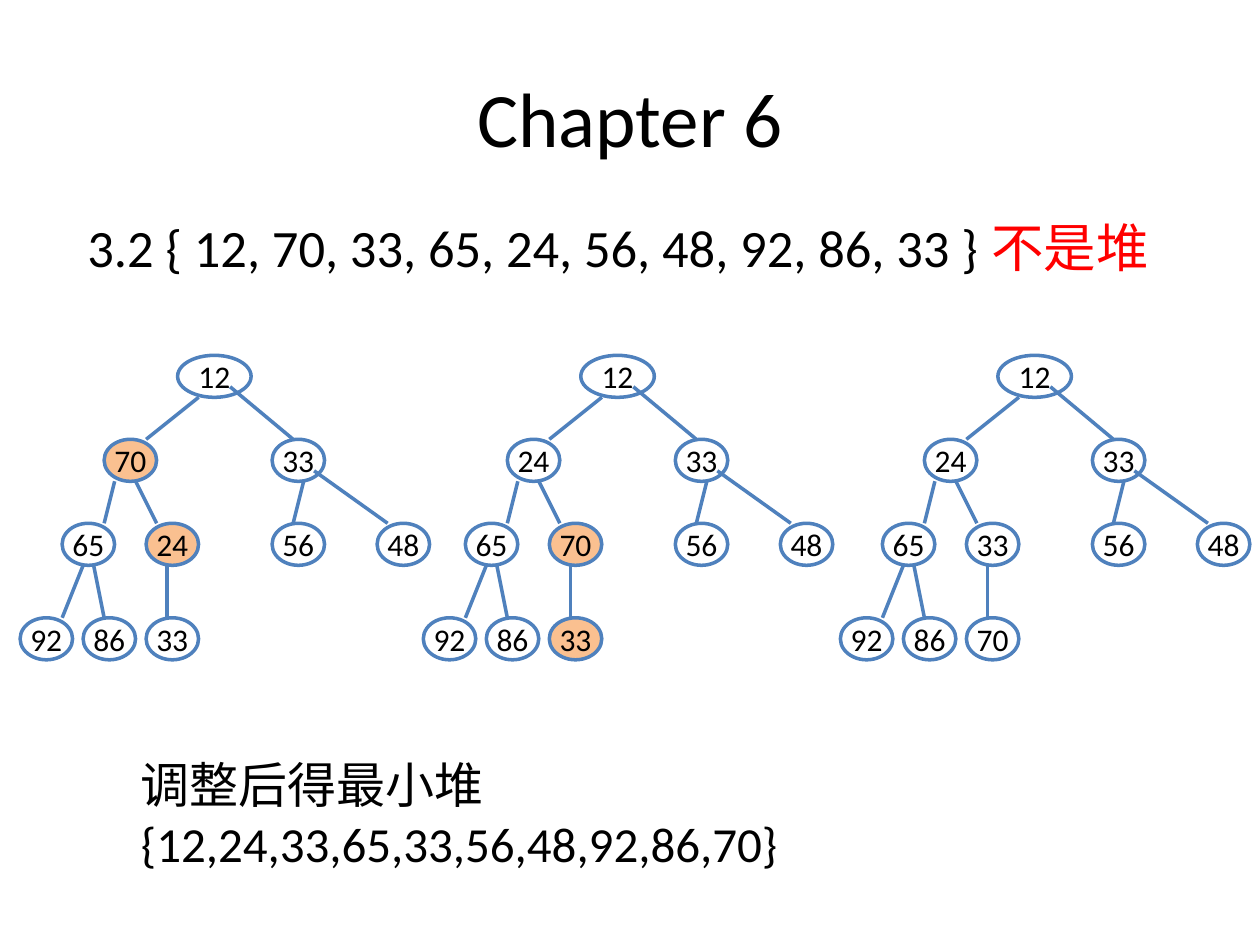
from lxml import etree
from pptx import Presentation
from pptx.dml.color import RGBColor
from pptx.enum.shapes import MSO_CONNECTOR, MSO_SHAPE
from pptx.enum.text import MSO_ANCHOR, PP_ALIGN
from pptx.oxml.ns import qn
from pptx.util import Inches, Pt

ELLIPSE = MSO_SHAPE.OVAL
STRAIGHT = MSO_CONNECTOR.STRAIGHT
MIDDLE = MSO_ANCHOR.MIDDLE
CENTER = PP_ALIGN.CENTER
LEFT = PP_ALIGN.LEFT

BLACK = RGBColor(0x00, 0x00, 0x00)
WHITE = RGBColor(0xFF, 0xFF, 0xFF)
RED = RGBColor(0xFF, 0x00, 0x00)
BLUE = RGBColor(0x4F, 0x81, 0xBD)
ORANGE = RGBColor(0xFA, 0xC0, 0x90)

# Trees are laid out on a grid of twelfths of an inch.
GRID = 1 / 12
TREE_TOP = 2.82
NODE_HEIGHT = 4
# Each node: left, top, width, then the edge from its parent (x1, y1, x2, y2).
NODES = [
    (15, 0, 7, None),
    (8, 8, 5, (17, 4, 12, 8)),
    (24, 8, 5, (20, 3, 26, 8)),
    (4, 16, 5, (9, 12, 8, 16)),
    (12, 16, 5, (11, 12, 13, 16)),
    (24, 16, 5, (27, 12, 26, 16)),
    (34, 16, 5, (28, 11, 35, 16)),
    (0, 25, 5, (6, 20, 4, 25)),
    (6, 25, 5, (7, 20, 8, 25)),
    (12, 25, 5, (14, 20, 14, 25)),
]
# Each tree: left, values in level order, positions of the swapped nodes.
TREES = [
    (0.16, [12, 70, 33, 65, 24, 56, 48, 92, 86, 33], {1, 4}),
    (3.36, [12, 24, 33, 65, 70, 56, 48, 92, 86, 33], {4, 9}),
    (6.67, [12, 24, 33, 65, 33, 56, 48, 92, 86, 70], set()),
]


class HeapPage:
    font = "Calibri"
    line_width = Pt(2)

    def __init__(self, deck):
        self.page = deck.slides.add_slide(deck.slide_layouts[5])

    def format_span(self, span, size, color=BLACK):
        span.font.name = self.font
        span.font.size = Pt(size)
        span.font.color.rgb = color

    def title(self, text):
        box = self.page.shapes.title
        box.left, box.top = Inches(0.5), Inches(0.3)
        box.width, box.height = Inches(9), Inches(1.25)
        box.text_frame.text = text
        box.text_frame.vertical_anchor = MIDDLE
        para = box.text_frame.paragraphs[0]
        para.alignment = CENTER
        self.format_span(para.runs[0], 44)

    def text(self, left, top, width, height, spans, size, align, breaks=False):
        """Add one paragraph of (text, colour) spans, on separate lines if breaks."""
        box = self.page.shapes.add_textbox(
            Inches(left), Inches(top), Inches(width), Inches(height))
        box.text_frame.word_wrap = True
        para = box.text_frame.paragraphs[0]
        para.alignment = align
        for index, (words, color) in enumerate(spans):
            if breaks and index:
                para.add_line_break()
            span = para.add_run()
            span.text = words
            self.format_span(span, size, color)
        return para

    def node(self, group, left, top, width, value, fill):
        shape = group.shapes.add_shape(
            ELLIPSE, left, top, width, Inches(NODE_HEIGHT * GRID))
        shape.shadow.inherit = False
        shape.fill.solid()
        shape.fill.fore_color.rgb = fill
        shape.line.color.rgb = BLUE
        shape.line.width = self.line_width
        frame = shape.text_frame
        frame.text = str(value)
        frame.word_wrap = False
        frame.vertical_anchor = MIDDLE
        para = frame.paragraphs[0]
        para.alignment = CENTER
        self.format_span(para.runs[0], 18)

    def edge(self, group, *ends):
        line = group.shapes.add_connector(STRAIGHT, *ends)
        line.line.color.rgb = BLUE
        line.line.width = self.line_width
        etree.SubElement(line._element.spPr, qn("a:effectLst"))

    def tree(self, tree_left, values, swapped):
        def across(step):
            return Inches(tree_left + step * GRID)

        def down(step):
            return Inches(TREE_TOP + step * GRID)

        group = self.page.shapes.add_group_shape()
        for index, (left, top, width, edge) in enumerate(NODES):
            fill = ORANGE if index in swapped else WHITE
            self.node(group, across(left), down(top), Inches(width * GRID),
                      values[index], fill)
            if edge:
                x1, y1, x2, y2 = edge
                self.edge(group, across(x1), down(y1), across(x2), down(y2))


def main():
    deck = Presentation()
    deck.slide_width, deck.slide_height = Inches(10), Inches(7.5)
    heap = HeapPage(deck)
    heap.title("Chapter 6")
    question = heap.text(
        0.31, 1.75, 9.19, 0.52,
        [("3.2 { 12, 70, 33, 65, 24, 56, 48, 92, 86, 33 } ", BLACK),
         ("不是堆", RED)], 30, CENTER)
    question.line_spacing = 0.8
    for tree in TREES:
        heap.tree(*tree)
    heap.text(
        1.02, 5.94, 8.05, 1.04,
        [("调整后得最小堆", BLACK),
         ("{12,24,33,65,33,56,48,92,86,70}", BLACK)], 28, LEFT, breaks=True)
    deck.save("out.pptx")


if __name__ == "__main__":
    main()
